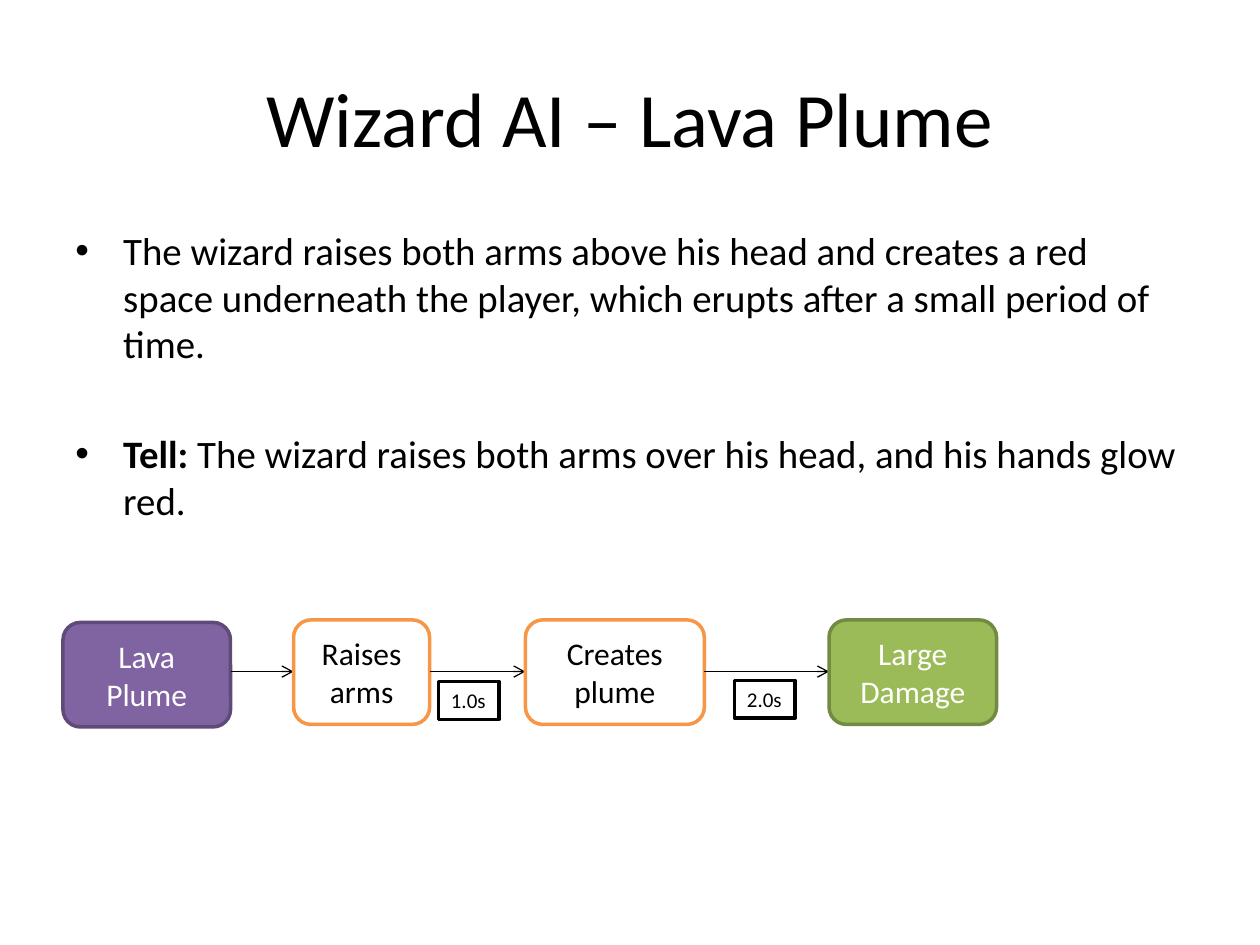
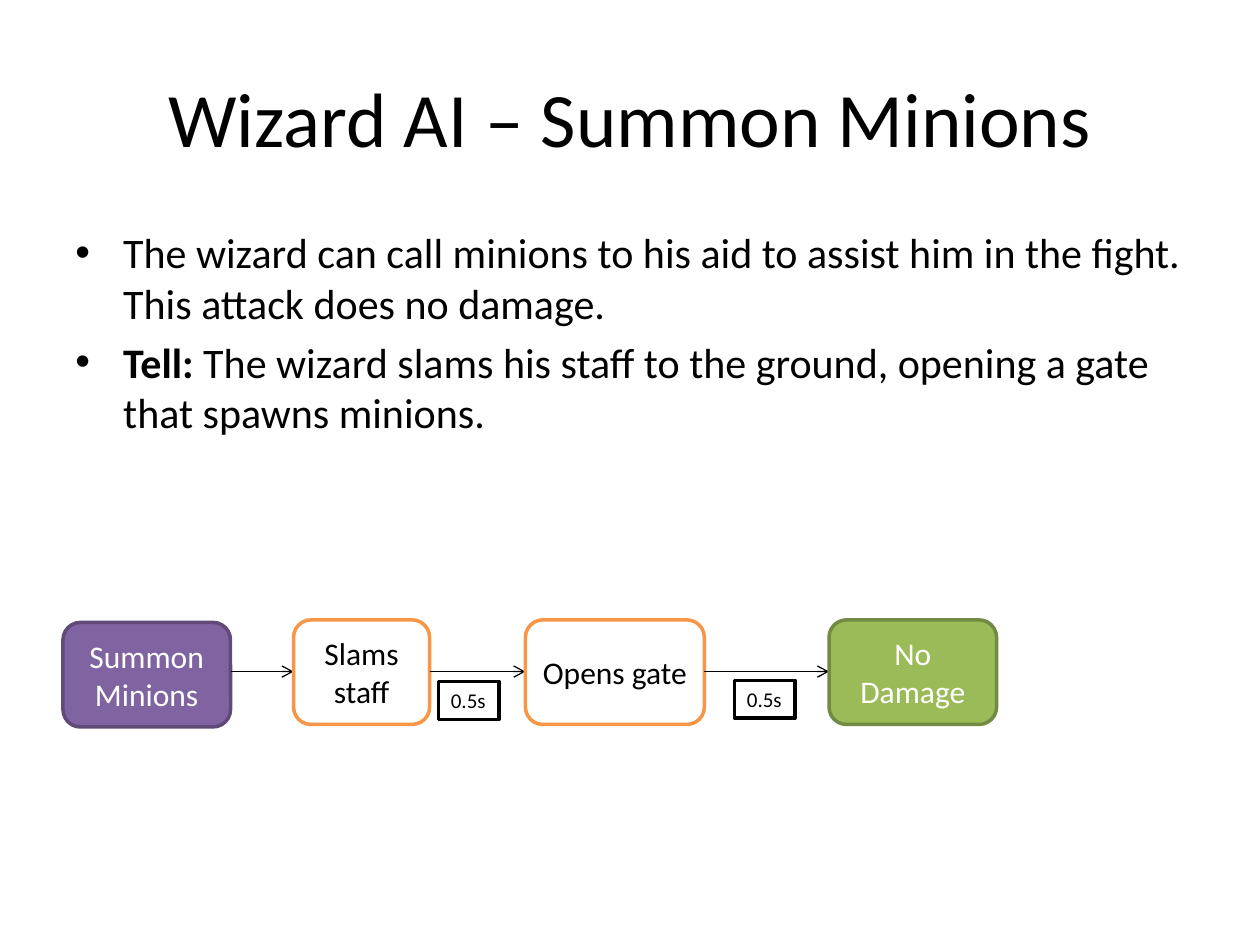
from lxml import etree
from pptx import Presentation
from pptx.dml.color import RGBColor
from pptx.enum import shapes, text
from pptx.oxml import ns
from pptx.util import Inches, Pt

FONT = "Calibri"
BLACK, WHITE = "000000", "FFFFFF"
LINE_WIDTH = 2

ATTACKS = [
    {
        "title": "Wizard AI – Lava Plume",
        "body_size": 22.2,
        "body_height": 2.33,
        "bullet_gap": 36,
        "bullets": [
            [("The wizard raises both arms above his head and creates a red space "
              "underneath the player, which erupts after a small period of time.", False)],
            [("Tell:", True),
             (" The wizard raises both arms over his head, and his hands glow red.", False)],
        ],
        "steps": ["Lava Plume", "Raises arms", "Creates plume", "Large Damage"],
        "delays": ["1.0s", "2.0s"],
    },
    {
        "title": "Wizard AI – Summon Minions",
        "body_size": 24,
        "body_height": 1.92,
        "bullet_gap": 5,
        "bullets": [
            [("The wizard can call minions to his aid to assist him in the fight. "
              "This attack does no damage.", False)],
            [("Tell: ", True),
             ("The wizard slams his staff to the ground, opening a gate "
              "that spawns minions.", False)],
        ],
        "steps": ["Summon Minions", "Slams staff", "Opens gate", "No Damage"],
        "delays": ["0.5s", "0.5s"],
    },
]

# left, top, width, fill, outline, text colour
STEP_STYLES = [
    (0.5, 4.94, 1.33, "8064A2", "5F4A78", WHITE),
    (2.33, 4.92, 1.08, WHITE, "F79646", BLACK),
    (4.17, 4.92, 1.42, WHITE, "F79646", BLACK),
    (6.58, 4.92, 1.33, "9BBB59", "738A42", WHITE),
]
STEP_HEIGHT = 0.83
ARROW_Y = 5.33
DELAY_PLACES = [(3.48, 5.41), (5.83, 5.4)]
DELAY_SIZE = (0.48, 0.3)


def color(value):
    return RGBColor.from_string(value)


def add_run(paragraph, words, size, font_color=BLACK, bold=False):
    run = paragraph.add_run()
    run.text = words
    font = run.font
    font.name, font.size, font.bold = FONT, Pt(size), bold
    font.color.rgb = color(font_color)


def add_text_box(slide, left, top, width, height):
    box = slide.shapes.add_textbox(*map(Inches, (left, top, width, height)))
    box.text_frame.word_wrap = True
    return box.text_frame


def add_title(slide, words):
    frame = add_text_box(slide, 0.5, 0.3, 9, 1.25)
    frame.vertical_anchor = text.MSO_ANCHOR.MIDDLE
    paragraph = frame.paragraphs[0]
    paragraph.alignment = text.PP_ALIGN.CENTER
    add_run(paragraph, words, 44)


def set_bullet(paragraph):
    properties = paragraph._p.get_or_add_pPr()
    properties.set("marL", str(Inches(0.38)))
    properties.set("indent", str(Inches(-0.38)))
    etree.SubElement(properties, ns.qn("a:buFont"), typeface="Arial")
    etree.SubElement(properties, ns.qn("a:buChar"), char="•")


def add_bullets(slide, attack):
    frame = add_text_box(slide, 0.5, 1.75, 9, attack["body_height"])
    for index, runs in enumerate(attack["bullets"]):
        paragraph = frame.add_paragraph() if index else frame.paragraphs[0]
        if index:
            paragraph.space_before = Pt(attack["bullet_gap"])
        set_bullet(paragraph)
        for words, bold in runs:
            add_run(paragraph, words, attack["body_size"], bold=bold)


def add_box(slide, kind, place, fill, outline, words, size, font_color, alignment):
    box = slide.shapes.add_shape(kind, *map(Inches, place))
    box.shadow.inherit = False
    box.fill.solid()
    box.fill.fore_color.rgb = color(fill)
    box.line.color.rgb = color(outline)
    box.line.width = Pt(LINE_WIDTH)
    paragraph = box.text_frame.paragraphs[0]
    paragraph.alignment = alignment
    add_run(paragraph, words, size, font_color)
    return box


def add_arrow(slide, start, end):
    arrow = slide.shapes.add_connector(
        shapes.MSO_CONNECTOR.STRAIGHT,
        Inches(start), Inches(ARROW_Y), Inches(end), Inches(ARROW_Y))
    arrow.line.color.rgb = color(BLACK)
    arrow.line.width = Pt(0.75)
    etree.SubElement(arrow.line._get_or_add_ln(), ns.qn("a:tailEnd"), type="arrow")
    etree.SubElement(arrow._element.spPr, ns.qn("a:effectLst"))


def add_flow(slide, steps, delays):
    previous_right = None
    for words, style in zip(steps, STEP_STYLES):
        left, top, width, fill, outline, font_color = style
        if previous_right is not None:
            add_arrow(slide, previous_right, left)
        box = add_box(slide, shapes.MSO_SHAPE.ROUNDED_RECTANGLE,
                      (left, top, width, STEP_HEIGHT), fill, outline,
                      words, 18, font_color, text.PP_ALIGN.CENTER)
        box.text_frame.vertical_anchor = text.MSO_ANCHOR.MIDDLE
        previous_right = left + width
    for words, place in zip(delays, DELAY_PLACES):
        label = add_box(slide, shapes.MSO_SHAPE.RECTANGLE, place + DELAY_SIZE,
                        WHITE, BLACK, words, 12, BLACK, text.PP_ALIGN.LEFT)
        label.text_frame.vertical_anchor = text.MSO_ANCHOR.TOP
        label.text_frame.word_wrap = False
        label.text_frame.auto_size = text.MSO_AUTO_SIZE.SHAPE_TO_FIT_TEXT


def main():
    presentation = Presentation()
    presentation.slide_width, presentation.slide_height = Inches(10), Inches(7.5)
    blank = presentation.slide_layouts[6]
    for attack in ATTACKS:
        slide = presentation.slides.add_slide(blank)
        add_title(slide, attack["title"])
        add_bullets(slide, attack)
        add_flow(slide, attack["steps"], attack["delays"])
    presentation.save("out.pptx")


if __name__ == "__main__":
    main()
